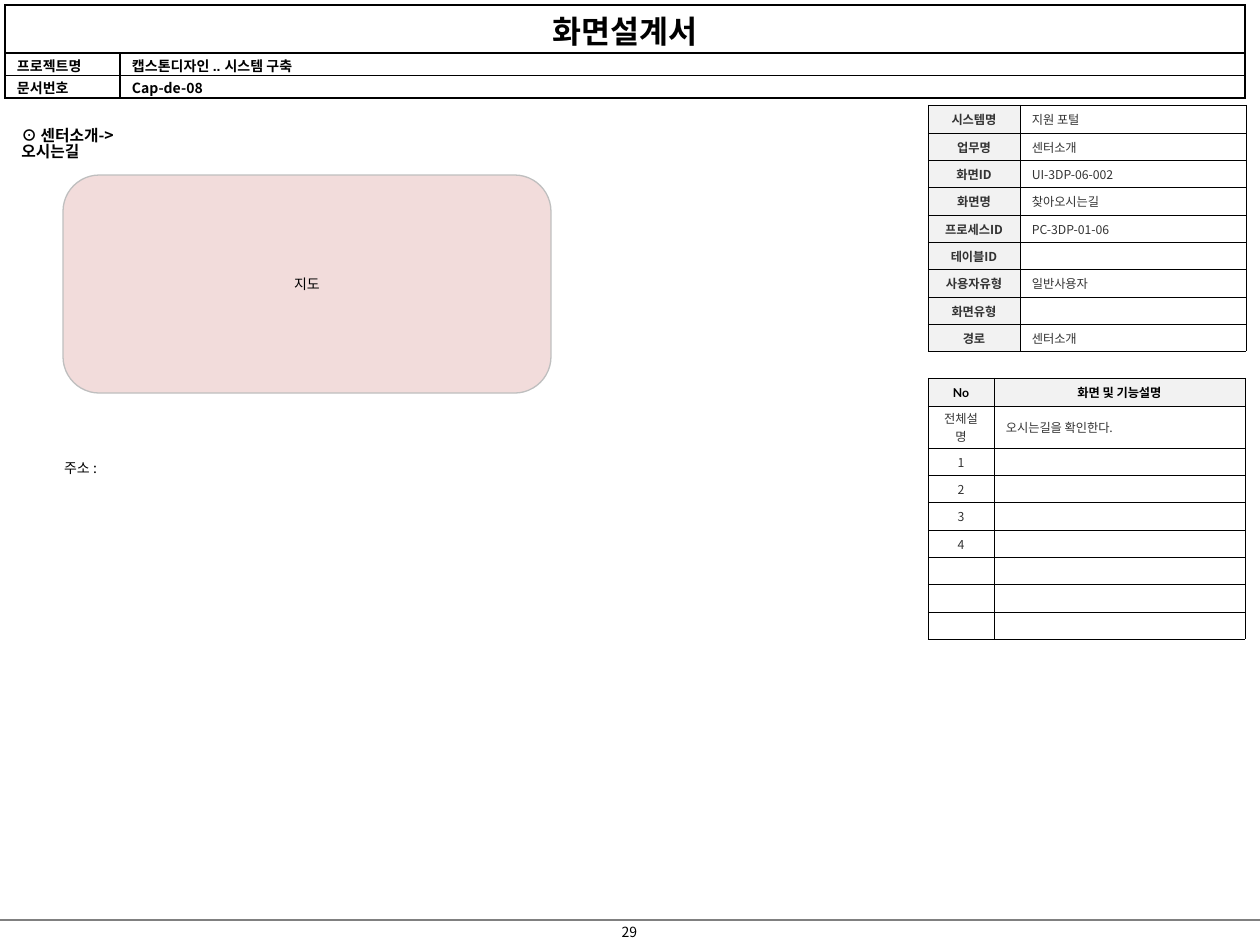
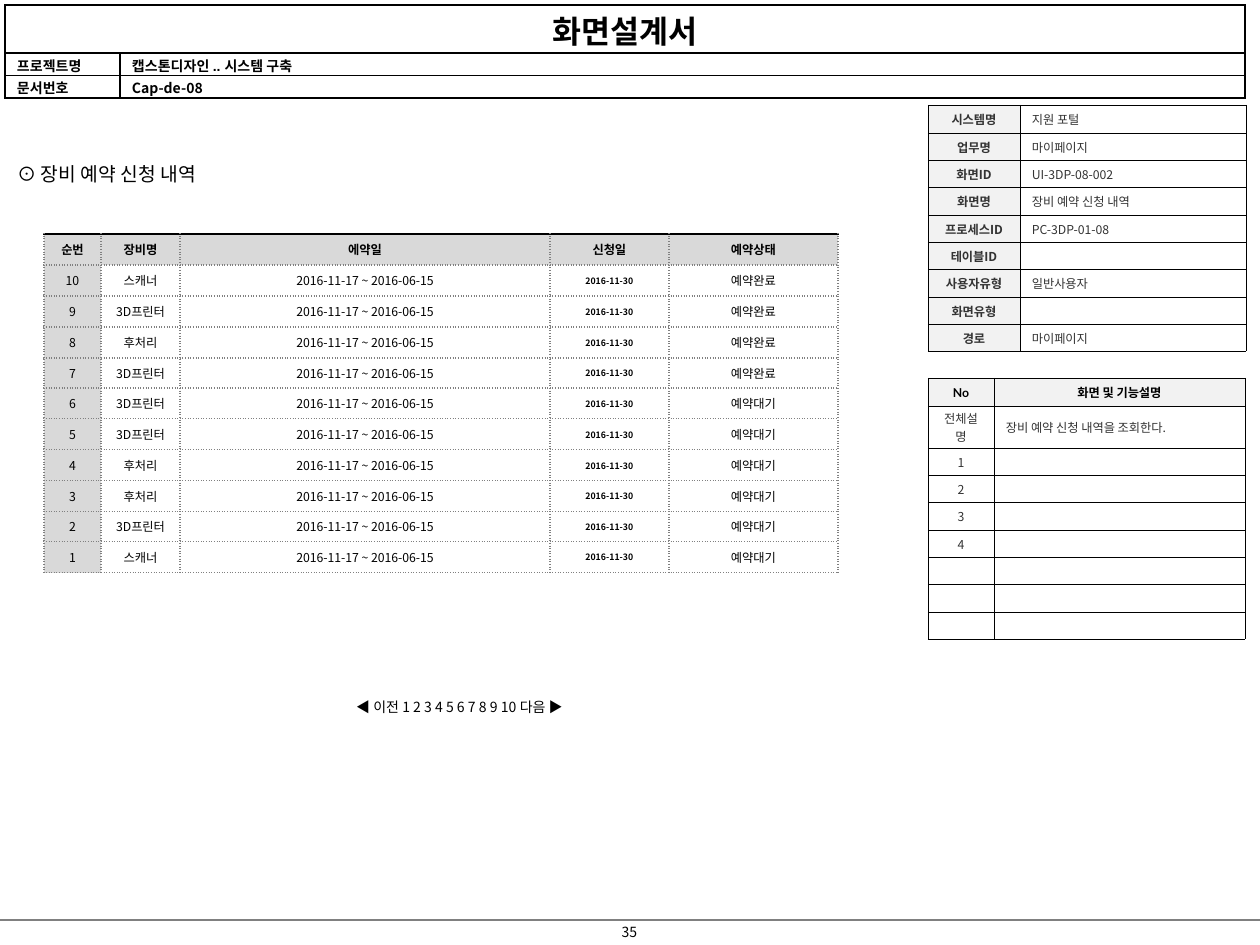
"""Build two screen design pages with a shared header, info tables and footer."""
import lxml.etree
import pptx
import pptx.dml.color
import pptx.enum.shapes
import pptx.enum.text
import pptx.oxml
import pptx.oxml.ns
import pptx.util

PX = 914400 // 126
BLACK, WHITE, DARK, GREY = "000000", "FFFFFF", "333333", "808080"
LABEL_FILL, HEAD_FILL, MAP_FILL, MAP_LINE = "F2F2F2", "D9D9D9", "F2DCDB", "BFBFBF"
SANS = "Noto Sans CJK KR"
LEFT = pptx.enum.text.PP_ALIGN.LEFT
CENTER = pptx.enum.text.PP_ALIGN.CENTER
TOP = pptx.enum.text.MSO_ANCHOR.TOP
MIDDLE = pptx.enum.text.MSO_ANCHOR.MIDDLE

STYLES = {
    "title": dict(size=18, bold=True, align=CENTER, fill=WHITE),
    "project": dict(size=8, bold=True, name="Arial", fill=WHITE),
    "document": dict(size=8, bold=True, fill=WHITE),
    "label": dict(size=7, bold=True, color=DARK, align=CENTER, fill=LABEL_FILL),
    "number_head": dict(size=7, bold=True, name="Lato", align=CENTER, fill=LABEL_FILL),
    "function_head": dict(size=7, bold=True, name="Arial", align=CENTER, fill=LABEL_FILL),
    "value": dict(size=7, color=DARK),
    "number": dict(size=7, color=DARK, align=CENTER),
    "list_head": dict(size=7, bold=True, align=CENTER, fill=HEAD_FILL, top=True),
    "order": dict(size=7, align=CENTER, fill=HEAD_FILL),
    "entry": dict(size=7, align=CENTER),
    "date": dict(size=5, bold=True, align=CENTER),
    "status": dict(size=7, align=CENTER, fill=WHITE),
    "heading": dict(size=9, bold=True, spacing=0.84),
    "list_title": dict(size=11),
    "plain": dict(size=8),
    "centered": dict(size=8, align=CENTER),
    "map": dict(size=8, name="Arial", align=CENTER),
}


def rgb(value):
    return pptx.dml.color.RGBColor.from_string(value)


def write(frame, text, style):
    look = STYLES[style]
    para = frame.paragraphs[0]
    para.alignment = look.get("align", LEFT)
    if "spacing" in look:
        para.line_spacing = look["spacing"]
    if not text:
        para._p.get_or_add_endParaRPr().set("sz", str(look["size"] * 100))
        return
    span = para.add_run()
    span.text = text
    formats = {
        "size": pptx.util.Pt(look["size"]),
        "bold": look.get("bold", False),
        "name": look.get("name", SANS),
    }
    for key, value in formats.items():
        setattr(span.font, key, value)
    span.font.color.rgb = rgb(look.get("color", BLACK))
    east_asian = lxml.etree.SubElement(span._r.rPr, pptx.oxml.ns.qn("a:ea"))
    east_asian.set("typeface", SANS)


INFO_LABELS = ["시스템명", "업무명", "화면ID", "화면명", "프로세스ID",
               "테이블ID", "사용자유형", "화면유형", "경로"]
NUMBERS = ["1", "2", "3", "4", "", "", ""]
HEADER = [
    [("화면설계서", "title"), ("", "title")],
    [("프로젝트명", "project"), ("캡스톤디자인 .. 시스템 구축", "project")],
    [("문서번호", "project"), ("Cap-de-08", "document")],
]

DEVICES = ["스캐너", "3D프린터", "후처리", "3D프린터", "3D프린터",
           "3D프린터", "후처리", "후처리", "3D프린터", "스캐너"]
LIST_HEADS = ["순번", "장비명", "에약일", "신청일", "예약상태"]
reservations = [[(head, "list_head") for head in LIST_HEADS]]
for order, device in zip(range(10, 0, -1), DEVICES):
    reservations.append([
        (str(order), "order"),
        (device, "entry"),
        ("2016-11-17 ~ 2016-06-15", "entry"),
        ("2016-11-30", "date"),
        ("예약완료" if order > 6 else "예약대기", "status"),
    ])
RESERVATION_TABLE = dict(
    at=(44, 234), columns=[57, 79, 370, 119, 169],
    rows=[31, 31, 31, 31, 30] * 2 + [31], cells=reservations,
    margins=(6, 3, 6, 3), anchor=MIDDLE, line=(GREY, 1, "sysDot"))

MAP_SHAPE = pptx.enum.shapes.MSO_SHAPE.FLOWCHART_ALTERNATE_PROCESS
RECTANGLE = pptx.enum.shapes.MSO_SHAPE.RECTANGLE

PAGES = [
    dict(
        number="29",
        summary="오시는길을 확인한다.",
        info=["지원 포털", "센터소개", "UI-3DP-06-002", "찾아오시는길",
              "PC-3DP-01-06", "", "일반사용자", "", "센터소개"],
        tables=[],
        texts=[("⊙ 센터소개->오시는길", (9, 123, 175, 50), "heading")],
        shapes=[
            (MAP_SHAPE, "지도", (63, 175, 488, 218), "map", MAP_FILL, MAP_LINE),
            (RECTANGLE, "주소 :", (54, 452, 160, 32), "plain", WHITE, None),
        ],
    ),
    dict(
        number="35",
        summary="장비 예약 신청 내역을 조회한다.",
        info=["지원 포털", "마이페이지", "UI-3DP-08-002", "장비 예약 신청 내역",
              "PC-3DP-01-08", "", "일반사용자", "", "마이페이지"],
        tables=[RESERVATION_TABLE],
        texts=[
            ("⊙ 장비 예약 신청 내역", (5, 156, 213, 37), "list_title"),
            ("◀ 이전 1 2 3 4 5 6 7 8 9 10 다음 ▶", (329, 692, 261, 30), "centered"),
        ],
        shapes=[],
    ),
]

deck = pptx.Presentation()
deck.slide_width = 1260 * PX
deck.slide_height = 945 * PX

for content in PAGES:
    page = deck.slides.add_slide(deck.slide_layouts[6])

    footer_line = page.shapes.add_connector(
        pptx.enum.shapes.MSO_CONNECTOR.STRAIGHT, 0, 920 * PX, 1260 * PX, 920 * PX)
    footer_line.line.color.rgb = rgb(GREY)
    footer_line.line.width = pptx.util.Pt(0.75)
    lxml.etree.SubElement(footer_line._element.spPr, pptx.oxml.ns.qn("a:effectLst"))

    functions = [
        [("No", "number_head"), ("화면 및 기능설명", "function_head")],
        [("전체설명", "number"), (content["summary"], "value")],
    ] + [[(number, "number"), ("", "value")] for number in NUMBERS]
    info = [[(label, "label"), (value, "value")]
            for label, value in zip(INFO_LABELS, content["info"])]
    tables = [
        dict(at=(5, 5), columns=[115, 1125], rows=[48, 22, 22], cells=HEADER,
             margins=(12, 2, 12, 0), anchor=TOP, line=(BLACK, 1, "solid")),
        dict(at=(928, 378), columns=[66, 251], rows=[28, 42] + [27, 27, 28] * 2 + [27],
             cells=functions, margins=(12, 3, 12, 2), anchor=MIDDLE,
             line=(BLACK, 0.25, "solid")),
        dict(at=(928, 105), columns=[92, 226], rows=[28, 27, 27] * 3, cells=info,
             margins=(12, 3, 12, 2), anchor=MIDDLE, line=(BLACK, 0.25, "solid")),
    ] + content["tables"]

    for plan in tables:
        left, top = plan["at"]
        columns, rows = plan["columns"], plan["rows"]
        grid = page.shapes.add_table(
            len(rows), len(columns), left * PX, top * PX,
            sum(columns) * PX, sum(rows) * PX).table
        grid.first_row = grid.horz_banding = False
        for column, width in zip(grid.columns, columns):
            column.width = width * PX
        for row, height in zip(grid.rows, rows):
            row.height = height * PX
        if plan["cells"] is HEADER:
            grid.cell(0, 0).merge(grid.cell(0, 1))
        for row, entries in zip(grid.rows, plan["cells"]):
            for cell, (text, style) in zip(row.cells, entries):
                write(cell.text_frame, text, style)
                cell.vertical_anchor = plan["anchor"]
                for side, margin in zip(("left", "top", "right", "bottom"), plan["margins"]):
                    setattr(cell, f"margin_{side}", margin * PX)
                for side in "LRTB":
                    color, width, dash = plan["line"]
                    if side == "T" and "top" in STYLES[style]:
                        color, dash = BLACK, "solid"
                    cell._tc.get_or_add_tcPr().append(pptx.oxml.parse_xml(
                        f'<a:ln{side} {pptx.oxml.ns.nsdecls("a")} w="{int(width * 12700)}">'
                        f'<a:solidFill><a:srgbClr val="{color}"/></a:solidFill>'
                        f'<a:prstDash val="{dash}"/></a:ln{side}>'))
                if "fill" in STYLES[style]:
                    cell.fill.solid()
                    cell.fill.fore_color.rgb = rgb(STYLES[style]["fill"])
                else:
                    cell.fill.background()

    page_number = (content["number"], (595, 917, 69, 30), "centered")
    for text, bounds, style in [page_number] + content["texts"]:
        box = page.shapes.add_textbox(*(length * PX for length in bounds))
        box.text_frame.word_wrap = True
        write(box.text_frame, text, style)

    for kind, text, bounds, style, fill, line in content["shapes"]:
        shape = page.shapes.add_shape(kind, *(length * PX for length in bounds))
        shape.shadow.inherit = False
        shape.fill.solid()
        shape.fill.fore_color.rgb = rgb(fill)
        if line:
            shape.line.color.rgb = rgb(line)
            shape.line.width = pptx.util.Pt(0.75)
        else:
            shape.line.fill.background()
        frame_format = {
            "word_wrap": True,
            "vertical_anchor": MIDDLE,
            "margin_left": 10 * PX,
            "margin_right": 10 * PX,
        }
        for key, value in frame_format.items():
            setattr(shape.text_frame, key, value)
        write(shape.text_frame, text, style)

deck.save("out.pptx")
